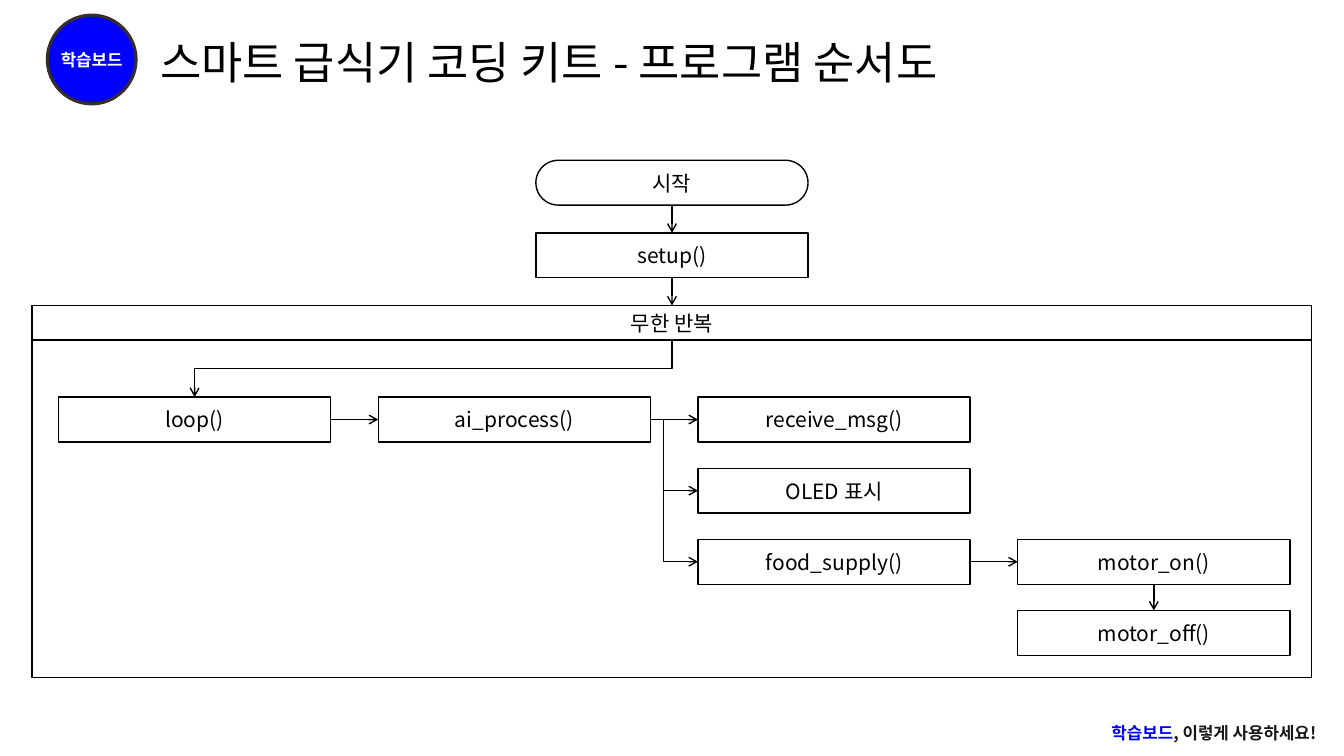
from lxml.etree import SubElement
from pptx import Presentation
from pptx.dml.color import RGBColor
from pptx.enum.shapes import MSO_CONNECTOR, MSO_SHAPE
from pptx.enum.text import MSO_ANCHOR, MSO_AUTO_SIZE, PP_ALIGN
from pptx.oxml.ns import qn
from pptx.util import Pt

FONT = "Noto Sans CJK KR"
BLACK, WHITE, BLUE = "000000", "FFFFFF", "0000FF"
TOP, LEFT, BOTTOM, RIGHT = range(4)
BOX_WIDTH, BOX_HEIGHT = 194.4, 32


def rgb(value):
    return RGBColor.from_string(value)


def format_run(run, size, color=BLACK, bold=False):
    run.font.size = Pt(size)
    run.font.bold = bold
    run.font.color.rgb = rgb(color)
    run.font.name = FONT
    SubElement(run.font._element, qn("a:ea"), typeface=FONT)


def add_box(slide, kind, box, text="", size=15, fill=WHITE, line=BLACK,
            line_width=1, color=BLACK, bold=False):
    shape = slide.shapes.add_shape(kind, *map(Pt, box))
    shape.shadow.inherit = False
    shape.fill.solid()
    shape.fill.fore_color.rgb = rgb(fill)
    shape.line.color.rgb = rgb(line)
    shape.line.width = Pt(line_width)
    if text:
        frame = shape.text_frame
        frame.margin_left = frame.margin_right = 0
        frame.margin_top = frame.margin_bottom = 0
        frame.word_wrap = False
        frame.vertical_anchor = MSO_ANCHOR.MIDDLE
        frame.text = text
        frame.paragraphs[0].alignment = PP_ALIGN.CENTER
        format_run(frame.paragraphs[0].runs[0], size, color, bold)
    return shape


def style_arrow(connector):
    connector.line.color.rgb = rgb(BLACK)
    connector.line.width = Pt(1)
    SubElement(connector.line._get_or_add_ln(), qn("a:tailEnd"), type="arrow")
    SubElement(connector._element.spPr, qn("a:effectLst"))


def add_arrow(slide, source, source_side, target, target_side):
    connector = slide.shapes.add_connector(MSO_CONNECTOR.STRAIGHT, 0, 0, 0, 0)
    connector.begin_connect(source, source_side)
    connector.end_connect(target, target_side)
    style_arrow(connector)


def add_elbow(slide, start, target, target_side, preset, rotation, flip, source=None):
    """Draw a bent arrow that leaves start downwards; start is a point in EMU."""
    connector = slide.shapes.add_connector(MSO_CONNECTOR.ELBOW, *start, *start)
    if source is not None:
        connector.begin_connect(source, BOTTOM)
    connector.end_connect(target, target_side)
    end = connector.end_x, connector.end_y
    across, down = abs(end[0] - start[0]), abs(end[1] - start[1])
    # The frame is stored unrotated, so its sides are swapped about the centre.
    connector.left = (start[0] + end[0] - down) // 2
    connector.top = (start[1] + end[1] - across) // 2
    connector.width, connector.height = down, across
    properties = connector._element.spPr
    transform = properties.find(qn("a:xfrm"))
    transform.set("rot", str(rotation * 60000))
    transform.set("flipH", str(int(flip)))
    transform.set("flipV", "0")
    properties.find(qn("a:prstGeom")).set("prst", preset)
    style_arrow(connector)


def add_header(slide, left, top, badge_size):
    add_box(slide, MSO_SHAPE.OVAL, (left, top, badge_size, badge_size), "학습보드",
            12, BLUE, "372E2B", 2.25, WHITE, True)
    title = slide.shapes.title
    title.left, title.top = Pt(left + 73.5), Pt(top + 7.2)
    title.width, title.height = Pt(828), Pt(56.2)
    frame = title.text_frame
    frame.auto_size = MSO_AUTO_SIZE.NONE
    frame.vertical_anchor = MSO_ANCHOR.MIDDLE
    frame.text = "스마트 급식기 코딩 키트 - 프로그램 순서도"
    paragraph = frame.paragraphs[0]
    paragraph.alignment = PP_ALIGN.LEFT
    paragraph.line_spacing = 0.9
    format_run(paragraph.runs[0], 32)


def add_start(slide, center, top):
    """Draw the start and setup steps and return the last one."""
    left = center - BOX_WIDTH / 2
    start = add_box(slide, MSO_SHAPE.ROUNDED_RECTANGLE,
                    (left, top, BOX_WIDTH, BOX_HEIGHT), "시작")
    start.adjustments[0] = 0.5
    setup = add_box(slide, MSO_SHAPE.RECTANGLE,
                    (left, top + 51.8, BOX_WIDTH, BOX_HEIGHT), "setup()")
    add_arrow(slide, start, BOTTOM, setup, TOP)
    return setup


def add_loop(slide, left, top, width, height, setup):
    add_box(slide, MSO_SHAPE.RECTANGLE, (left, top, width, height))
    bar = add_box(slide, MSO_SHAPE.RECTANGLE, (left, top, width, 24.8), "무한 반복")
    add_arrow(slide, setup, BOTTOM, bar, TOP)

    def add_step(text, column, row):
        box = (left + 18.8 + 228.4 * column, top + 65.5 + 50.8 * row,
               BOX_WIDTH, BOX_HEIGHT)
        return add_box(slide, MSO_SHAPE.RECTANGLE, box, text)

    loop = add_step("loop()", 0, 0)
    ai_process = add_step("ai_process()", 1, 0)
    receive = add_step("receive_msg()", 2, 0)
    display = add_step("OLED 표시", 2, 1)
    supply = add_step("food_supply()", 2, 2)
    motor_on = add_step("motor_on()", 3, 2)
    motor_off = add_step("motor_off()", 3, 3)

    for source, target in ((loop, ai_process), (ai_process, receive), (supply, motor_on)):
        add_arrow(slide, source, RIGHT, target, LEFT)
    add_arrow(slide, motor_on, BOTTOM, motor_off, TOP)

    bar_bottom = bar.left + bar.width // 2, bar.top + bar.height
    add_elbow(slide, bar_bottom, loop, TOP, "bentConnector3", 90, False, bar)
    trunk = ai_process.left + ai_process.width + Pt(9.4)
    for above, target in ((receive, display), (display, supply)):
        add_elbow(slide, (trunk, above.top + above.height // 2), target, LEFT,
                  "bentConnector2", 270, True)


def add_footer(slide, left, top, width, height):
    frame = slide.shapes.add_textbox(*map(Pt, (left, top, width, height))).text_frame
    frame.word_wrap = True
    paragraph = frame.paragraphs[0]
    paragraph.alignment = PP_ALIGN.RIGHT
    for text, color in (("학습보드", BLUE), (", 이렇게 사용하세요!", "181717")):
        run = paragraph.add_run()
        run.text = text
        format_run(run, 12, color, True)


def main():
    presentation = Presentation()
    presentation.slide_width, presentation.slide_height = Pt(960), Pt(540)
    slide = presentation.slides.add_slide(presentation.slide_layouts[5])
    add_header(slide, 33.8, 10.8, 63.4)
    setup = add_start(slide, 480, 114.5)
    add_loop(slide, 23, 218.2, 914, 265.7, setup)
    add_footer(slide, 467.3, 512.6, 480, 21.6)
    presentation.save("out.pptx")


if __name__ == "__main__":
    main()
